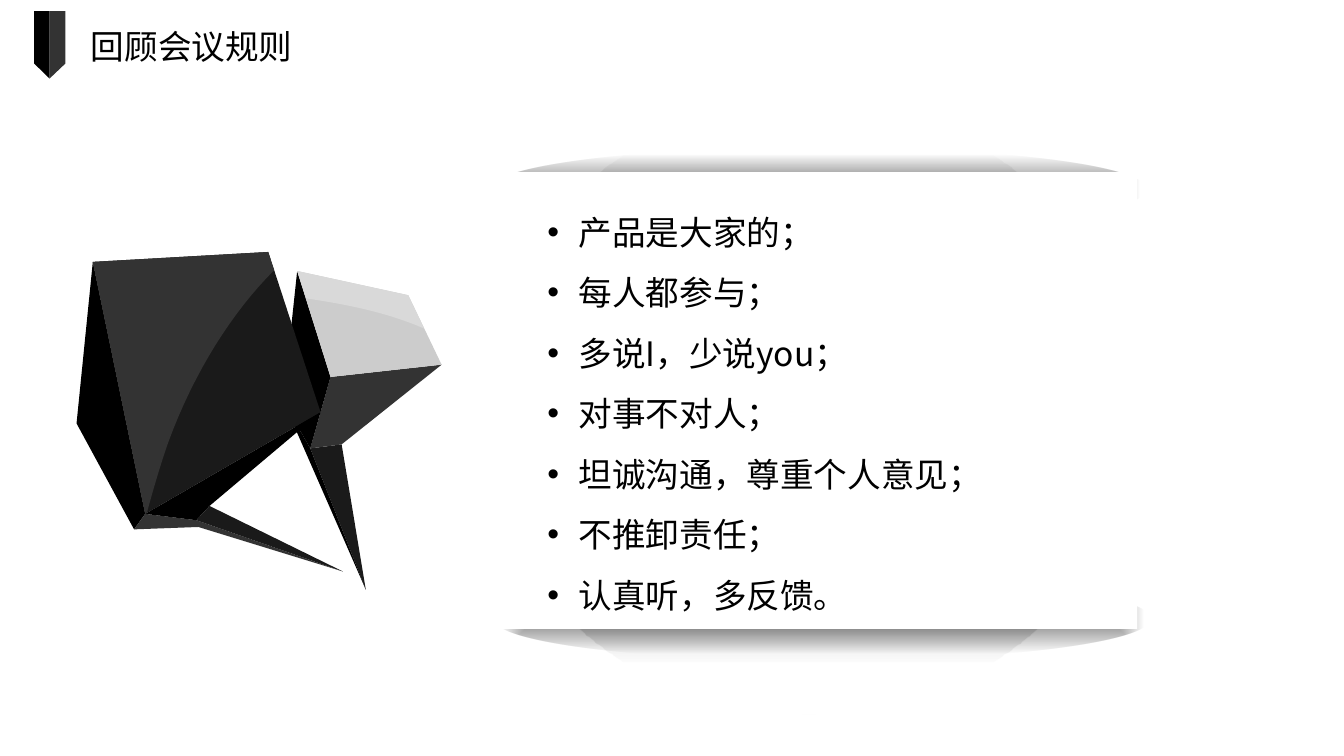
import dataclasses

import lxml.etree
import pptx
import pptx.dml.color
import pptx.enum.shapes
import pptx.enum.text
import pptx.oxml
import pptx.oxml.ns
import pptx.util

Cm = pptx.util.Cm
Pt = pptx.util.Pt
qn = pptx.oxml.ns.qn


@dataclasses.dataclass(frozen=True)
class Theme:
    font: str = "Noto Sans CJK SC"
    text_size: int = 24
    line_pitch: float = 43.2
    black: str = "000000"
    ink: str = "1A1A1A"
    charcoal: str = "333333"
    silver: str = "CCCCCC"
    mist: str = "D9D9D9"
    white: str = "FFFFFF"


def bezier(start, first, second, end, steps=16):
    return [
        tuple(
            (1 - t) ** 3 * a + 3 * (1 - t) ** 2 * t * b + 3 * (1 - t) * t ** 2 * c + t ** 3 * d
            for a, b, c, d in zip(start, first, second, end)
        )
        for t in (step / steps for step in range(steps + 1))
    ]


class SlideBuilder:
    def __init__(self, deck, theme):
        self.theme = theme
        self.page = deck.slides.add_slide(deck.slide_layouts[1])
        self.shapes = self.page.shapes

    def paint(self, shape, color):
        shape.shadow.inherit = False
        shape.line.fill.background()
        shape.fill.solid()
        shape.fill.fore_color.rgb = pptx.dml.color.RGBColor.from_string(color)

    def facet(self, color, points):
        corners = [(Cm(x), Cm(y)) for x, y in points]
        builder = self.shapes.build_freeform(*corners[0])
        builder.add_line_segments(corners[1:], close=True)
        self.paint(builder.convert_to_shape(), color)

    def panel(self, kind, frame, color):
        shape = self.shapes.add_shape(kind, *map(Cm, frame))
        self.paint(shape, color)
        return shape

    def soft_shadow(self, frame, opacity):
        color = self.theme.black
        shape = self.panel(pptx.enum.shapes.MSO_SHAPE.OVAL, frame, color)
        solid = shape._element.spPr.find(qn("a:solidFill"))
        gradient = lxml.etree.Element(qn("a:gradFill"), rotWithShape="1")
        stops = lxml.etree.SubElement(gradient, qn("a:gsLst"))
        for position, alpha in ((0, opacity), (83, 0)):
            stop = lxml.etree.SubElement(stops, qn("a:gs"), pos=str(position * 1000))
            tone = lxml.etree.SubElement(stop, qn("a:srgbClr"), val=color)
            lxml.etree.SubElement(tone, qn("a:alpha"), val=str(alpha * 1000))
        outline = lxml.etree.SubElement(gradient, qn("a:path"))
        outline.set("path", "shape")
        lxml.etree.SubElement(
            outline, qn("a:fillToRect"), {side: "50000" for side in "ltrb"}
        )
        xml = lxml.etree.tostring(gradient, encoding="unicode")
        solid.getparent().replace(solid, pptx.oxml.parse_xml(xml))

    def text(self, box, frame, content, anchor, wrap):
        box.left, box.top, box.width, box.height = map(Cm, frame)
        self.shapes._spTree.append(box._element)
        text_frame = box.text_frame
        text_frame.text = content
        text_frame.word_wrap = wrap
        text_frame.auto_size = pptx.enum.text.MSO_AUTO_SIZE.NONE
        text_frame.vertical_anchor = anchor
        for para in text_frame.paragraphs:
            para.space_before = Pt(0)
            for span in para.runs:
                span.font.name = self.theme.font
                span.font.size = Pt(self.theme.text_size)
                span.font.color.rgb = pptx.dml.color.RGBColor.from_string(self.theme.black)
                latin = span.font._element.find(qn("a:latin"))
                east_asian = lxml.etree.Element(qn("a:ea"), typeface=self.theme.font)
                latin.addnext(east_asian)
        return text_frame.paragraphs

    def title(self, content, frame):
        anchor = pptx.enum.text.MSO_ANCHOR.MIDDLE
        for para in self.text(self.shapes.title, frame, content, anchor, False):
            para.alignment = pptx.enum.text.PP_ALIGN.CENTER

    def bullets(self, items, frame):
        body = self.page.placeholders[1]
        anchor = pptx.enum.text.MSO_ANCHOR.TOP
        for para in self.text(body, frame, "\n".join(items), anchor, True):
            para.line_spacing = Pt(self.theme.line_pitch)
            properties = para._p.get_or_add_pPr()
            properties.set("marL", str(Cm(0.79)))
            properties.set("indent", str(-Cm(0.79)))
            lxml.etree.SubElement(properties, qn("a:buFont"), typeface="Arial")
            lxml.etree.SubElement(properties, qn("a:buChar"), char="•")


def draw_bird(slide, theme):
    brow, crown, beak = (7.49, 6.83), (10.29, 7.44), (11.13, 9.19)
    cheek, chin, throat = (8.33, 9.5), (7.82, 11.3), (7.14, 10.11)
    front_knee, front_foot = (8.61, 11.2), (9.22, 14.86)
    slide.facet(theme.ink, [chin, front_knee, front_foot])
    slide.facet(theme.black, [throat, chin, front_foot])
    slide.facet(theme.charcoal, [cheek, beak, front_knee, chin])
    slide.facet(theme.black, [brow, cheek, chin, throat])
    slide.facet(theme.silver, [beak, cheek, brow, crown])
    head_shine = bezier((10.69, 8.28), (9.6, 7.8), (8.36, 7.62), (7.72, 7.52))
    slide.facet(theme.mist, [brow, crown, *head_shine])

    chest, belly, back, nape = (8.08, 10.39), (3.66, 12.95), (2.34, 6.6), (6.76, 6.35)
    rump, tail, tail_base = (1.93, 10.67), (3.38, 13.34), (5, 13.28)
    hip, thigh, rear_foot = (4.95, 13.11), (5.28, 12.75), (8.64, 14.4)
    slide.facet(theme.ink, [chest, belly, back, nape])
    slide.facet(theme.black, [back, rump, tail, belly])
    slide.facet(theme.charcoal, [belly, tail, tail_base, rear_foot, hip])
    slide.facet(theme.black, [chest, belly, hip, thigh])
    slide.facet(theme.ink, [hip, rear_foot, thigh])
    wing_middle = (4.24, 11.15)
    wing = bezier((3.71, 12.9), (3.86, 12.34), (4.04, 11.73), wing_middle)
    wing += bezier(wing_middle, (4.9, 9.35), (5.87, 7.85), (6.91, 6.81))[1:]
    slide.facet(theme.charcoal, [*wing, nape, back, belly])


def main():
    theme = Theme()
    deck = pptx.Presentation()
    deck.slide_width, deck.slide_height = Cm(33.87), Cm(19.05)
    slide = SlideBuilder(deck, theme)

    draw_bird(slide, theme)
    ribbon_middle = 1.25
    for edge, color in ((0.86, theme.black), (1.65, theme.charcoal)):
        slide.facet(
            color, [(edge, 0.28), (ribbon_middle, 0.28), (ribbon_middle, 1.98), (edge, 1.6)]
        )

    slide.soft_shadow((12.09, 2.59, 16.54, 15.42), 100)
    slide.soft_shadow((12.45, 14.53, 16.54, 2.11), 50)
    slide.soft_shadow((12.34, 3.71, 16.54, 2.11), 50)
    slide.panel(
        pptx.enum.shapes.MSO_SHAPE.RECTANGLE, (12.4, 4.34, 16.26, 11.51), theme.white
    )

    slide.title("回顾会议规则", (2.01, 0.53, 5.64, 1.27))
    slide.bullets(
        [
            "产品是大家的；",
            "每人都参与；",
            "多说I，少说you；",
            "对事不对人；",
            "坦诚沟通，尊重个人意见；",
            "不推卸责任；",
            "认真听，多反馈。",
        ],
        (13.54, 4.7, 19.63, 11.02),
    )
    deck.save("out.pptx")


if __name__ == "__main__":
    main()
